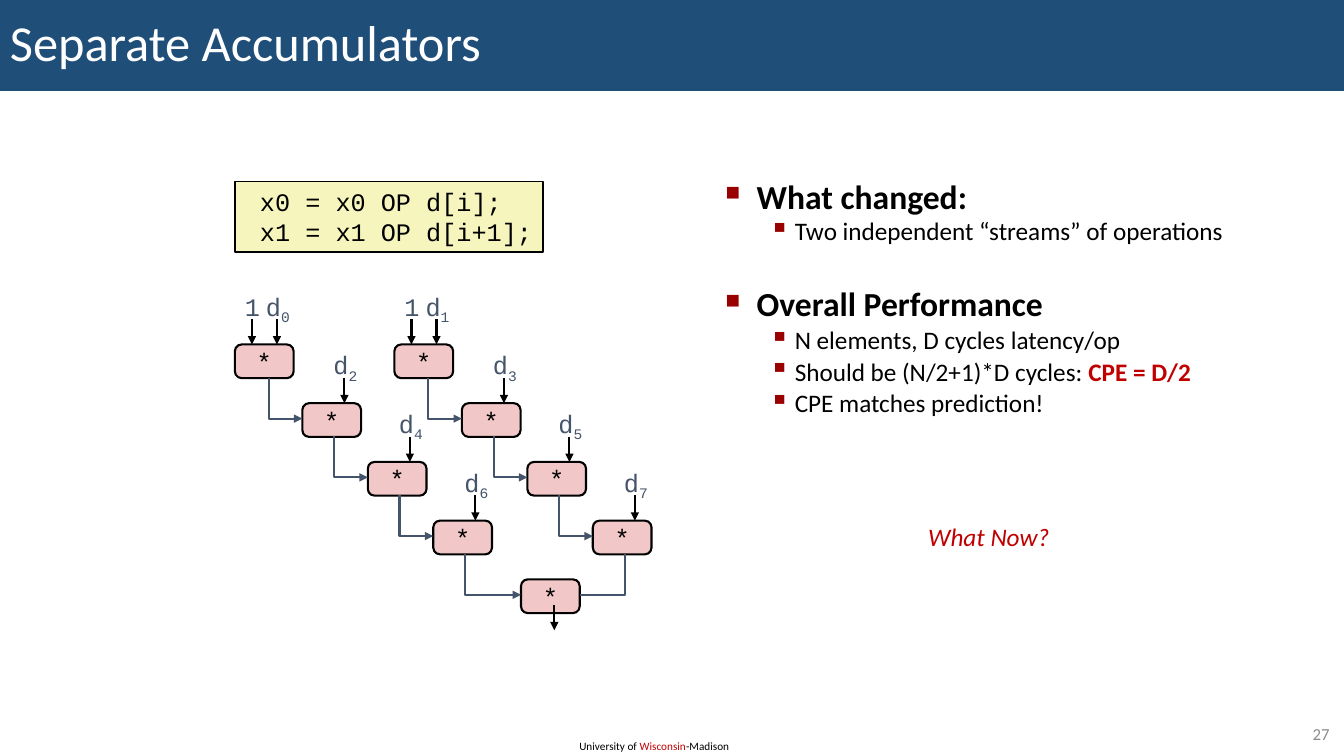
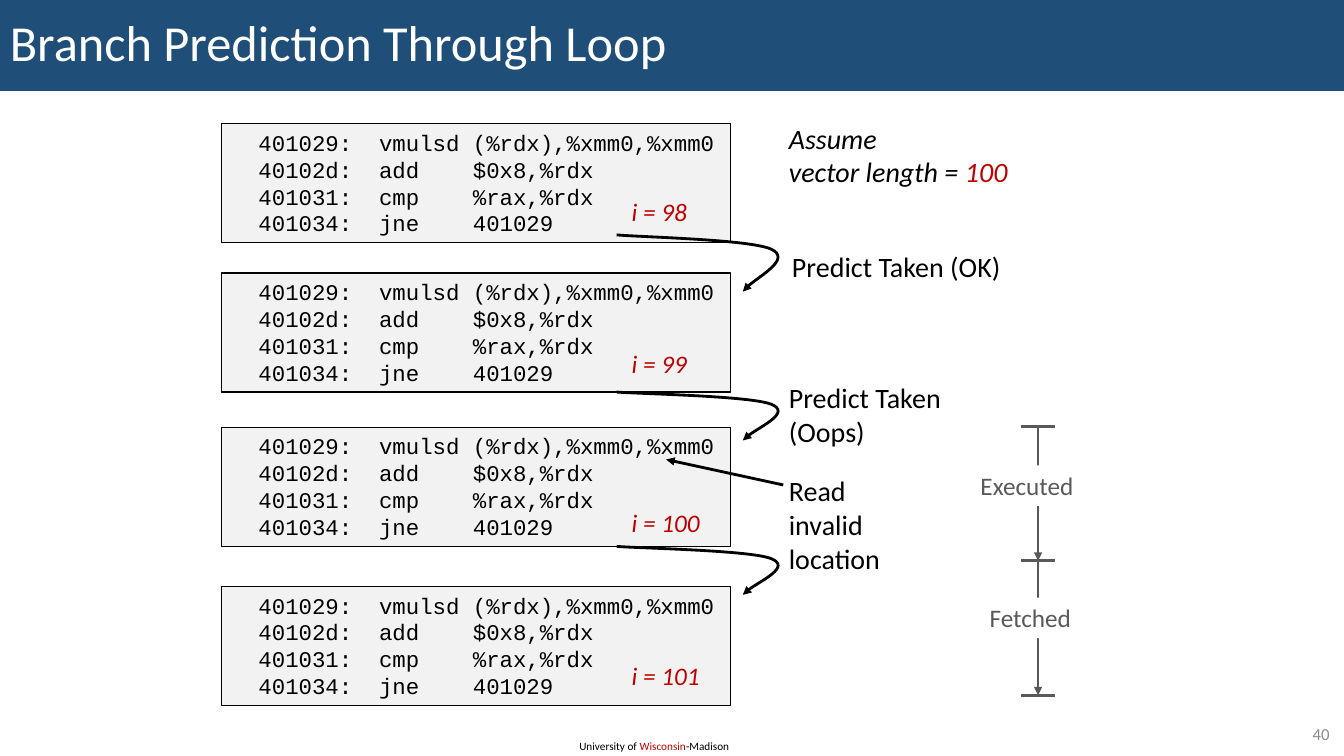
from dataclasses import dataclass
from typing import Optional, Sequence, Tuple, Union

from lxml.etree import SubElement
from pptx import Presentation
from pptx.dml.color import RGBColor
from pptx.enum.shapes import MSO_CONNECTOR, MSO_SHAPE
from pptx.enum.text import MSO_ANCHOR, MSO_AUTO_SIZE as AUTO_SIZE, PP_ALIGN
from pptx.oxml.ns import qn
from pptx.util import Cm, Pt

BLACK = RGBColor(0x00, 0x00, 0x00)
WHITE = RGBColor(0xFF, 0xFF, 0xFF)
NAVY = RGBColor(0x1F, 0x4E, 0x79)
RED = RGBColor(0xC0, 0x00, 0x00)
MAROON = RGBColor(0x99, 0x00, 0x00)
SLATE = RGBColor(0x44, 0x54, 0x6A)
GRAY = RGBColor(0x59, 0x59, 0x59)
PAGE_GRAY = RGBColor(0x8C, 0x8C, 0x8C)
PINK = RGBColor(0xF1, 0xC7, 0xC7)
YELLOW = RGBColor(0xF6, 0xF5, 0xBD)
PALE_GRAY = RGBColor(0xF2, 0xF2, 0xF2)
SANS, MONO = "Calibri", "Courier New"

Point = Tuple[float, float]


@dataclass(frozen=True)
class Span:
    text: str
    color: Optional[RGBColor] = None
    bold: Optional[bool] = None
    subscript: bool = False


@dataclass(frozen=True)
class Box:
    left: float
    top: float
    width: float
    height: float

    def lengths(self) -> Tuple[int, ...]:
        return tuple(Cm(value) for value in (self.left, self.top, self.width, self.height))


@dataclass(frozen=True)
class BulletStyle:
    level: int
    mark: str
    mark_percent: int
    size: int
    bold: bool
    margin: float
    hanging: float


@dataclass(frozen=True)
class Bullet:
    style: BulletStyle
    line: "Line"
    spacing: float = 0.85
    before: float = 3


@dataclass(frozen=True)
class Iteration:
    index: int
    top: float
    label_top: float
    curve_top: float = 0
    curve_height: float = 0


Line = Union[str, Sequence[Span]]

HEADING = BulletStyle(0, "■", 60, 24, True, 0.79, 0.79)
DETAIL = BulletStyle(1, "▪", 110, 18, False, 1.75, 0.64)
BULLETS = (
    Bullet(HEADING, "What changed:", before=0),
    Bullet(DETAIL, "Two independent “streams” of operations"),
    Bullet(HEADING, "Overall Performance", before=31),
    Bullet(DETAIL, "N elements, D cycles latency/op", 0.9),
    Bullet(DETAIL, (Span("Should be (N/2+1)*D cycles: "), Span("CPE = D/2", RED, True)), 0.9),
    Bullet(DETAIL, "CPE matches prediction!", 0.9),
)

NODE_WIDTH, NODE_HEIGHT = 1.48, 0.85
NODE_LEFTS = (5.92, 7.62, 9.27, 10.92)
FIRST_ROW, ROW_STEP, CHAIN_STEP = 8.68, 1.48, 4.02
ARROW_LENGTH, INPUT_OFFSET, ELBOW_OFFSET = 0.64, 1.06, 0.39

LOOP_CODE = (
    "  401029:  vmulsd (%rdx),%xmm0,%xmm0",
    "  40102d:  add    $0x8,%rdx",
    "  401031:  cmp    %rax,%rdx",
    "  401034:  jne    401029",
)
ITERATIONS = (
    Iteration(98, 3.12, 4.83, 5.92, 1.43),
    Iteration(99, 6.88, 8.64, 9.88, 1.22),
    Iteration(100, 10.77, 12.65, 13.77, 1.22),
    Iteration(101, 14.78, 16.51),
)
CURVE_LEFT = 15.54
CURVE_POINTS = ((0, 0), (0.66, 0.04), (3.35, 0.08), (3.89, 0.25),
                (4.42, 0.42), (3.33, 0.83), (3.18, 1))
TIMELINE_X, TIMELINE_TOP, TIMELINE_STEP, CAP = 26.16, 10.74, 3.39, 0.42


def write_line(paragraph, line: Line, *, size: float, font: str = SANS, color: RGBColor = BLACK,
               bold: bool = False, italic: bool = False) -> None:
    for span in (Span(line),) if isinstance(line, str) else line:
        run = paragraph.add_run()
        run.text = span.text
        run.font.size, run.font.name = Pt(size), font
        run.font.bold = bold if span.bold is None else span.bold
        run.font.italic = italic
        run.font.color.rgb = span.color or color
        if span.subscript:
            run.font._element.set("baseline", "-25000")


def add_text(slide, box: Box, *lines: Line, kind: Optional[MSO_SHAPE] = None,
             fill: Optional[RGBColor] = None, outline: float = 0, wrap: bool = False,
             grow: bool = True, inset: float = 0.25, middle: bool = False,
             align: PP_ALIGN = PP_ALIGN.LEFT, spacing: float = 1, **text_format):
    if kind is None:
        shape = slide.shapes.add_textbox(*box.lengths())
    else:
        shape = slide.shapes.add_shape(kind, *box.lengths())
        shape.shadow.inherit = False
        shape.fill.solid()
        shape.fill.fore_color.rgb = fill
        if outline:
            shape.line.color.rgb, shape.line.width = BLACK, Pt(outline)
        else:
            shape.line.fill.background()
    frame = shape.text_frame
    frame.word_wrap = wrap
    frame.auto_size = AUTO_SIZE.SHAPE_TO_FIT_TEXT if grow else AUTO_SIZE.NONE
    frame.vertical_anchor = MSO_ANCHOR.MIDDLE if middle else MSO_ANCHOR.TOP
    frame.margin_left = frame.margin_right = Cm(inset)
    frame.margin_top = frame.margin_bottom = Cm(0.13)
    for number, line in enumerate(lines):
        paragraph = frame.add_paragraph() if number else frame.paragraphs[0]
        paragraph.alignment, paragraph.line_spacing = align, spacing
        write_line(paragraph, line, **text_format)
    return shape


def style_line(shape, color: RGBColor, width: float, arrow: bool) -> None:
    shape.line.color.rgb, shape.line.width = color, Pt(width)
    if arrow:
        SubElement(shape.line._get_or_add_ln(), qn("a:tailEnd"), type="triangle")


def add_line(slide, start: Point, end: Point, *, color: RGBColor = BLACK,
             width: float = 1.5, arrow: bool = True) -> None:
    connector = slide.shapes.add_connector(
        MSO_CONNECTOR.STRAIGHT, *(Cm(value) for value in (*start, *end)))
    style_line(connector, color, width, arrow)
    SubElement(connector._element.spPr, qn("a:effectLst"))


def add_outline(slide, points: Sequence[Point], *, color: RGBColor = SLATE, width: float = 1.5,
                arrow: bool = True, curved: bool = False) -> None:
    start, *rest = [(Cm(x), Cm(y)) for x, y in points]
    builder = slide.shapes.build_freeform(*start)
    builder.add_line_segments(rest, close=False)
    shape = builder.convert_to_shape()
    shape.shadow.inherit = False
    shape.fill.background()
    style_line(shape, color, width, arrow)
    if curved:
        outline = shape._element.find(".//" + qn("a:path"))
        segments = outline.findall(qn("a:lnTo"))
        for first in range(0, len(segments), 3):
            curve = SubElement(outline, qn("a:cubicBezTo"))
            for segment in segments[first:first + 3]:
                curve.append(segment[0])
                outline.remove(segment)


def add_base_slide(presentation, title: str, number: int):
    slide = presentation.slides.add_slide(presentation.slide_layouts[6])
    add_text(slide, Box(14.35, 18.49, 4.37, 0.61),
             (Span("University of "), Span("Wisconsin", RED), Span("-Madison")),
             wrap=True, size=8)
    add_text(slide, Box(0, 0, 33.87, 2.29), title, kind=MSO_SHAPE.RECTANGLE, fill=NAVY,
             wrap=True, grow=False, middle=True, spacing=0.9, size=36, color=WHITE)
    add_text(slide, Box(31.83, 18.11, 1.93, 0.74), str(number), wrap=True, grow=False,
             middle=True, align=PP_ALIGN.RIGHT, size=12, color=PAGE_GRAY)
    return slide


def add_bullets(slide, box: Box, bullets: Sequence[Bullet]) -> None:
    frame = add_text(slide, box, wrap=True, grow=False).text_frame
    for number, bullet in enumerate(bullets):
        style = bullet.style
        paragraph = frame.add_paragraph() if number else frame.paragraphs[0]
        paragraph.level = style.level
        paragraph.line_spacing = bullet.spacing
        paragraph.space_before = Pt(bullet.before)
        properties = paragraph._p.get_or_add_pPr()
        properties.set("marL", str(Cm(style.margin)))
        properties.set("indent", str(-Cm(style.hanging)))
        mark_color = SubElement(properties, qn("a:buClr"))
        SubElement(mark_color, qn("a:srgbClr"), val=str(MAROON))
        SubElement(properties, qn("a:buSzPct"), val=str(style.mark_percent * 1000))
        SubElement(properties, qn("a:buChar"), char=style.mark)
        write_line(paragraph, bullet.line, size=style.size, bold=style.bold)


def add_node(slide, left: float, top: float) -> None:
    node = add_text(slide, Box(left, top, NODE_WIDTH, NODE_HEIGHT), "*",
                    kind=MSO_SHAPE.ROUNDED_RECTANGLE, fill=PINK, outline=1.5, grow=False,
                    middle=True, align=PP_ALIGN.CENTER, size=18, font=MONO)
    node.adjustments[0] = 0.2


def add_input(slide, line: Line, box: Box, arrow_x: float, node_top: float) -> None:
    add_text(slide, box, line, inset=0.13, align=PP_ALIGN.CENTER,
             size=18, font=MONO, color=SLATE)
    add_line(slide, (arrow_x, node_top - ARROW_LENGTH), (arrow_x, node_top))


def add_chain(slide, chain: int) -> None:
    for row, base_left in enumerate(NODE_LEFTS):
        left, top = base_left + chain * CHAIN_STEP, FIRST_ROW + row * ROW_STEP
        add_node(slide, left, top)
        name = (Span("d"), Span(str(2 * row + chain), subscript=True))
        label_top = top - ROW_STEP
        add_input(slide, name, Box(left + 0.64, label_top, 0.89, 1.02), left + INPUT_OFFSET, top)
        if row == 0:
            add_input(slide, "1", Box(left + 0.12, label_top, 0.64, 1.02), left + 0.43, top)
        else:
            bend = left - 0.85
            add_outline(slide, [(bend, top - ARROW_LENGTH), (bend, top + ELBOW_OFFSET),
                                (left, top + ELBOW_OFFSET)])


def build_accumulators(presentation) -> None:
    slide = add_base_slide(presentation, "Separate Accumulators", 27)
    add_text(slide, Box(5.92, 4.57, 7.77, 1.78), " x0 = x0 OP d[i];", " x1 = x1 OP d[i+1];",
             kind=MSO_SHAPE.RECTANGLE, fill=YELLOW, outline=1, size=18, font=MONO)
    for chain in range(2):
        add_chain(slide, chain)
    left, top = 13.13, FIRST_ROW + len(NODE_LEFTS) * ROW_STEP
    join = top + ELBOW_OFFSET
    add_node(slide, left, top)
    add_outline(slide, [(11.71, 13.97), (11.71, join), (left, join)])
    add_outline(slide, [(15.75, 13.97), (15.75, join), (left + NODE_WIDTH, join)], arrow=False)
    add_line(slide, (13.97, 15.24), (13.97, 15.88))
    add_bullets(slide, Box(18.03, 4.45, 13.79, 8.69), BULLETS)
    add_text(slide, Box(23.14, 13, 3.61, 1.02), "What Now?", size=18, color=RED, italic=True)


def add_iteration(slide, iteration: Iteration) -> None:
    add_text(slide, Box(5.59, iteration.top, 12.83, 3), *LOOP_CODE, kind=MSO_SHAPE.RECTANGLE,
             fill=PALE_GRAY, outline=0.75, size=16, font=MONO)
    width = 2.26 if iteration.index > 99 else 1.93
    add_text(slide, Box(15.67, iteration.label_top, width, 1.02), f"i = {iteration.index}",
             size=18, color=RED, italic=True)


def add_timeline(slide) -> None:
    ticks = [TIMELINE_TOP + step * TIMELINE_STEP for step in range(3)]
    for start, end in zip(ticks, ticks[1:]):
        add_line(slide, (TIMELINE_X, start), (TIMELINE_X, end), color=GRAY, width=2)
    for label, box in (("Executed", Box(24.46, 11.73, 2.87, 1.02)),
                       ("Fetched", Box(24.69, 15.06, 2.59, 1.02))):
        add_text(slide, box, label, kind=MSO_SHAPE.RECTANGLE, fill=WHITE, size=18, color=GRAY)
    for tick in ticks:
        add_line(slide, (TIMELINE_X - CAP, tick), (TIMELINE_X + CAP, tick),
                 color=GRAY, width=2, arrow=False)


def build_branch_prediction(presentation) -> None:
    slide = add_base_slide(presentation, "Branch Prediction Through Loop", 40)
    for iteration in ITERATIONS:
        add_iteration(slide, iteration)
    for iteration in ITERATIONS[:-1]:
        points = [(CURVE_LEFT + x, iteration.curve_top + y * iteration.curve_height)
                  for x, y in CURVE_POINTS]
        add_outline(slide, points, color=BLACK, width=2, curved=True)
    add_text(slide, Box(19.63, 2.92, 6.17, 1.96), "Assume",
             (Span("vector length = "), Span("100", RED)), size=20, italic=True)
    add_text(slide, Box(19.71, 6.15, 5.94, 1.12), "Predict Taken (OK)", size=20)
    add_text(slide, Box(19.63, 9.47, 4.47, 1.96), "Predict Taken", "(Oops)", size=20)
    add_text(slide, Box(19.63, 11.81, 3.61, 2.82), "Read invalid location", wrap=True, size=20)
    add_line(slide, (19.74, 12.22), (16.79, 11.58), width=2)
    add_timeline(slide)


def main() -> None:
    """Build the two slides and save them."""
    presentation = Presentation()
    presentation.slide_width, presentation.slide_height = Cm(33.87), Cm(19.05)
    build_accumulators(presentation)
    build_branch_prediction(presentation)
    presentation.save("out.pptx")


if __name__ == "__main__":
    main()
